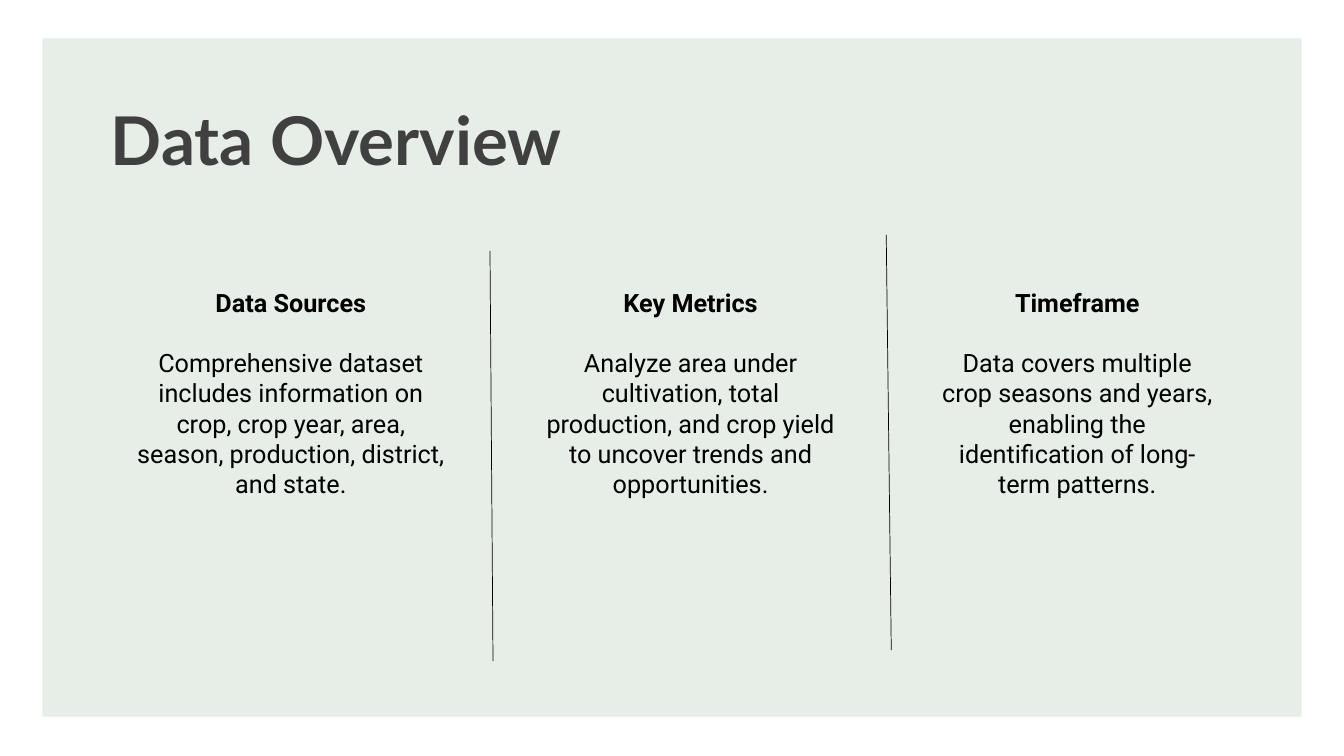
from lxml import etree
from pptx import Presentation
from pptx import util as u
from pptx.dml.color import RGBColor
from pptx.enum import shapes, text
from pptx.oxml.ns import qn

SAGE = RGBColor(0xE7, 0xEE, 0xE8)
GRAY = RGBColor(0x40, 0x40, 0x40)
BLACK = RGBColor(0, 0, 0)

COLUMNS = [
    (1.22, 3.33, "Data Sources",
     "Comprehensive dataset includes information on crop, crop year, area, "
     "season, production, district, and state."),
    (5.25, 3.2, "Key Metrics",
     "Analyze area under cultivation, total production, and crop yield "
     "to uncover trends and opportunities."),
    (9.2, 2.97, "Timeframe",
     "Data covers multiple crop seasons and years, enabling the "
     "identification of long-term patterns."),
]
RULES = [(4.86, 2.49, 4.89, 6.56), (8.79, 2.33, 8.84, 6.45)]


class Deck:
    head_font = "Lato"
    body_font = "Roboto"
    body_size = 18

    def __init__(self, slide):
        self.slide = slide

    def add_run(self, para, words, font, size, color, bold=False):
        run = para.add_run()
        run.text = words
        run.font.name = font
        run.font.size = u.Pt(size)
        run.font.bold = bold
        run.font.color.rgb = color

    def panel(self, *box):
        panel = self.slide.shapes.add_shape(
            shapes.MSO_SHAPE.RECTANGLE, *map(u.Inches, box))
        panel.shadow.inherit = False
        panel.fill.solid()
        panel.fill.fore_color.rgb = SAGE
        panel.line.fill.background()
        self.slide.shapes.title.element.addprevious(panel.element)

    def title(self, words, *box):
        title = self.slide.shapes.title
        title.left, title.top, title.width, title.height = map(u.Inches, box)
        frame = title.text_frame
        frame.word_wrap = True
        frame.vertical_anchor = text.MSO_ANCHOR.MIDDLE
        para = frame.paragraphs[0]
        para.alignment = text.PP_ALIGN.LEFT
        para.line_spacing = 0.9
        self.add_run(para, words, self.head_font, 48, GRAY, True)

    def column(self, left, width, head, body):
        box = self.slide.shapes.add_textbox(
            *map(u.Inches, (left, 2.8, width, 2.52)))
        frame = box.text_frame
        frame.word_wrap = True
        top, low = frame.paragraphs[0], frame.add_paragraph()
        top.alignment = low.alignment = text.PP_ALIGN.CENTER
        low.space_before = u.Pt(21.5)
        self.add_run(top, head, self.body_font, self.body_size, BLACK, True)
        self.add_run(low, body, self.body_font, self.body_size, BLACK)

    def rule(self, *ends):
        rule = self.slide.shapes.add_connector(
            shapes.MSO_CONNECTOR.STRAIGHT, *map(u.Inches, ends))
        rule.line.color.rgb = BLACK
        rule.line.width = u.Pt(0.5)
        etree.SubElement(rule.element.spPr, qn("a:effectLst"))


def main():
    prs = Presentation()
    prs.slide_width = u.Inches(13.33)
    prs.slide_height = u.Inches(7.5)
    deck = Deck(prs.slides.add_slide(prs.slide_layouts[5]))
    deck.panel(0.42, 0.38, 12.49, 6.73)
    deck.title("Data Overview", 1, 0.93, 5.39, 0.99)
    for column in COLUMNS:
        deck.column(*column)
    for ends in RULES:
        deck.rule(*ends)
    prs.save("out.pptx")


if __name__ == "__main__":
    main()
